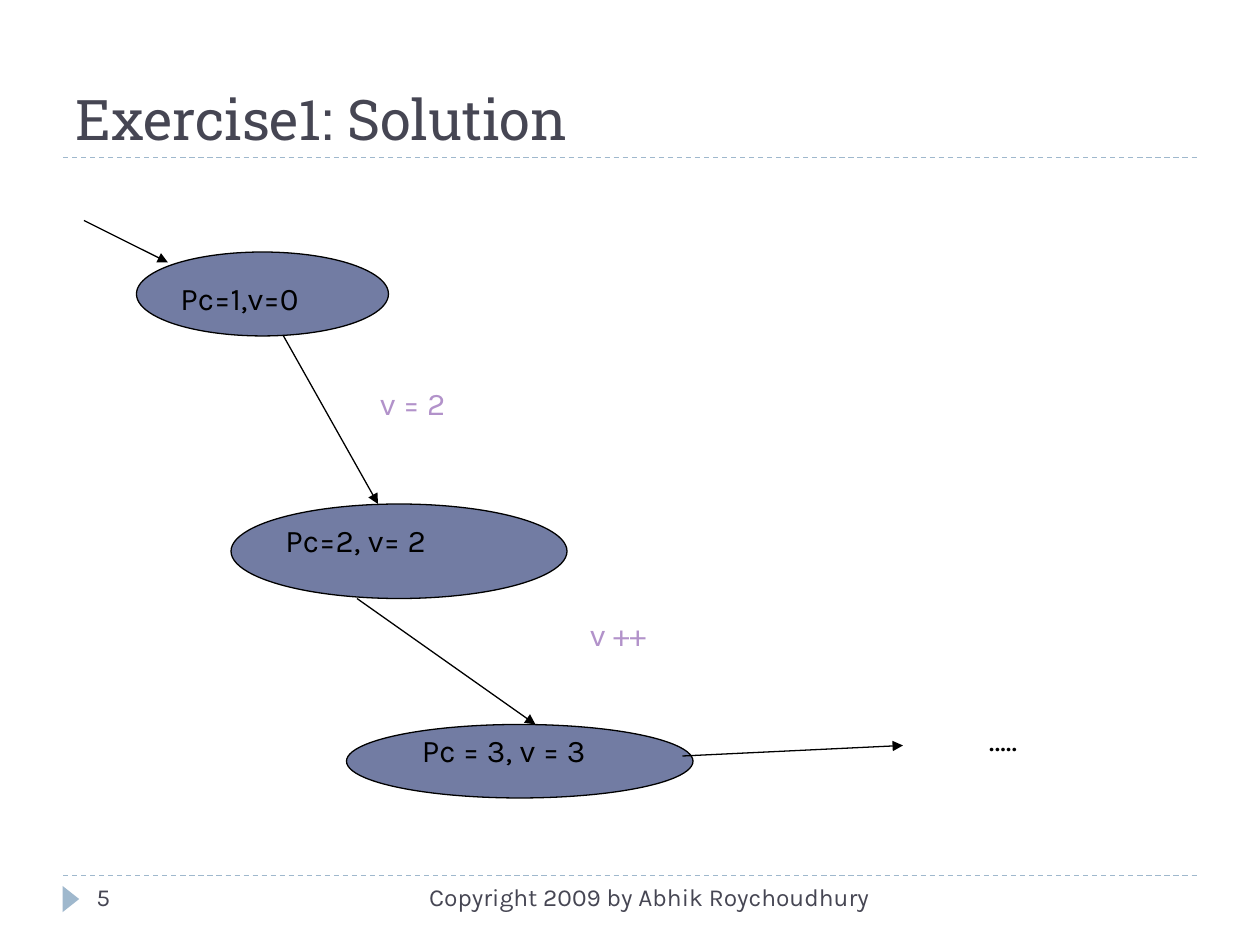
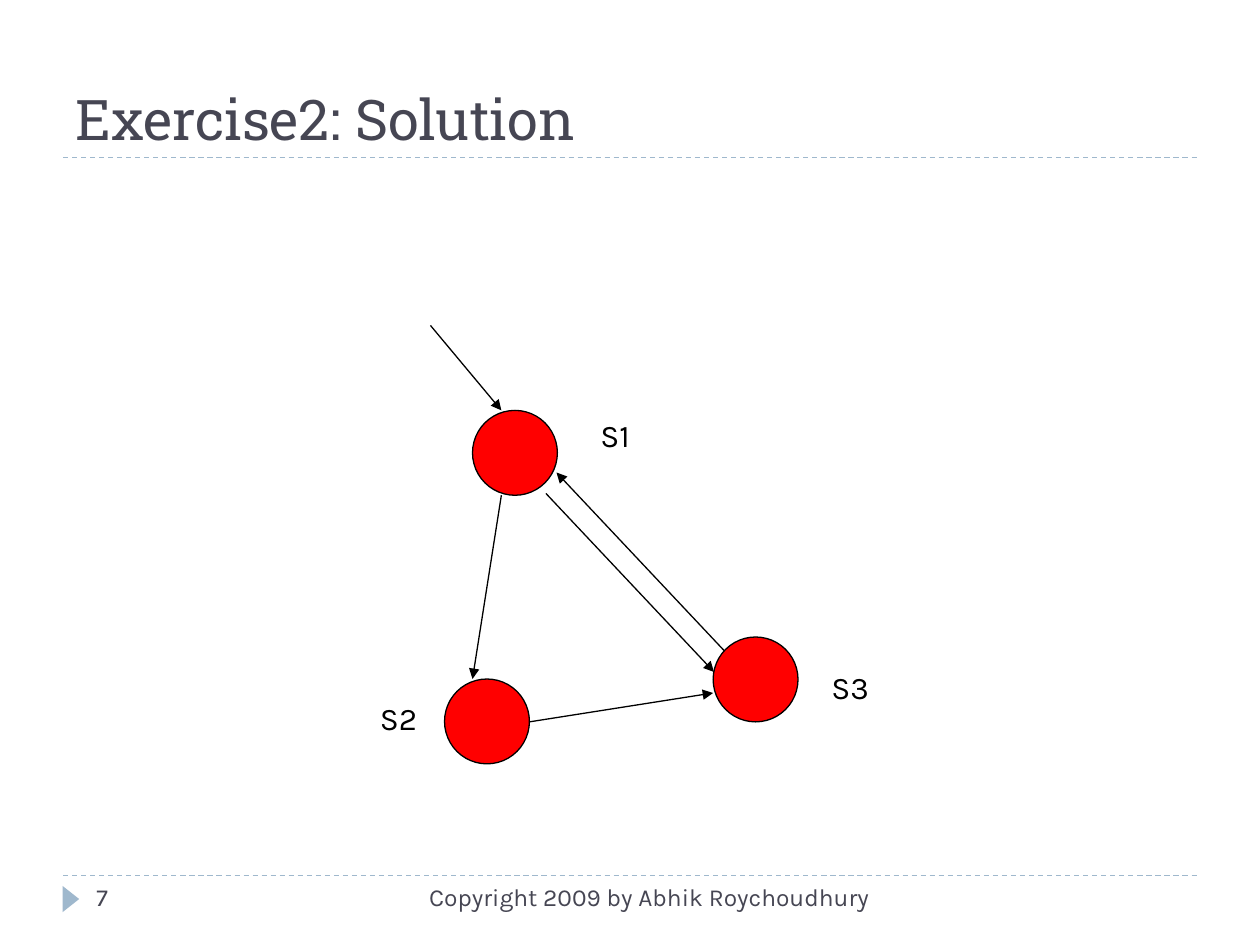
from dataclasses import dataclass

from lxml import etree
from pptx import Presentation
from pptx.dml.color import RGBColor
from pptx.enum.dml import MSO_LINE
from pptx.enum.shapes import MSO_CONNECTOR, MSO_SHAPE
from pptx.enum.text import MSO_ANCHOR, MSO_AUTO_SIZE, PP_ALIGN
from pptx.oxml.ns import qn
from pptx.util import Pt

DASH = MSO_LINE.DASH
STRAIGHT = MSO_CONNECTOR.STRAIGHT
ELLIPSE = MSO_SHAPE.OVAL
TRIANGLE = MSO_SHAPE.ISOSCELES_TRIANGLE
TOP, BOTTOM = MSO_ANCHOR.TOP, MSO_ANCHOR.BOTTOM
GROW, FIXED = MSO_AUTO_SIZE.SHAPE_TO_FIT_TEXT, MSO_AUTO_SIZE.NONE
LEFT, RIGHT = PP_ALIGN.LEFT, PP_ALIGN.RIGHT


@dataclass(frozen=True)
class Theme:
    heading_font: str = "Roboto Slab"
    body_font: str = "Karla"
    title_size: float = 32
    label_size: float = 18
    footer_size: float = 14
    label_gap: float = 11.2
    line_width: float = 0.75
    muted: str = "464653"
    accent: str = "9FB8CD"
    ink: str = "000000"
    action: str = "B292CA"
    state: str = "727CA3"
    node: str = "FF0000"


def set_all(target, values):
    for name, value in values.items():
        setattr(target, name, value)


class SlideBuilder:
    def __init__(self, deck, theme):
        self.deck = deck
        self.theme = theme
        self.page = None

    def start_page(self, title, number):
        theme = self.theme
        self.page = self.deck.slides.add_slide(self.deck.slide_layouts[6])
        for y in (500.5, 90):
            rule = self.line((36, y), (684, y), theme.accent)
            rule.line.dash_style = DASH
        marker = self.shape(TRIANGLE, 33, 509, 15, 9.5, theme.accent)
        marker.rotation = 90
        self.text(title, 36, 12, 648, 78, theme.title_size, theme.muted,
                  font=theme.heading_font, anchor=BOTTOM)
        self.text("Copyright 2009 by Abhik Roychoudhury", 228, 500.5, 276, 29,
                  theme.footer_size, theme.muted, align=RIGHT)
        self.text(number, 48, 500.5, 156, 29, theme.footer_size, theme.muted)

    def text(self, words, left, top, width, height, size, color,
             font=None, align=LEFT, anchor=TOP, fit=FIXED, gap=0):
        box = self.page.shapes.add_textbox(Pt(left), Pt(top), Pt(width), Pt(height))
        frame = box.text_frame
        set_all(frame, {"word_wrap": True, "auto_size": fit, "vertical_anchor": anchor})
        para = frame.paragraphs[0]
        set_all(para, {"alignment": align, "space_before": Pt(gap)})
        span = para.add_run()
        span.text = words
        set_all(span.font, {"name": font or self.theme.body_font, "size": Pt(size)})
        span.font.color.rgb = RGBColor.from_string(color)

    def label(self, words, left, top, width, color=None):
        theme = self.theme
        self.text(words, left, top, width, 29, theme.label_size, color or theme.ink,
                  fit=GROW, gap=theme.label_gap)

    def shape(self, kind, left, top, width, height, fill):
        shape = self.page.shapes.add_shape(kind, Pt(left), Pt(top), Pt(width), Pt(height))
        shape.shadow.inherit = False
        shape.fill.solid()
        shape.fill.fore_color.rgb = RGBColor.from_string(fill)
        shape.line.fill.background()
        return shape

    def ellipse(self, left, top, width, height, fill):
        shape = self.shape(ELLIPSE, left, top, width, height, fill)
        self.stroke(shape.line, self.theme.ink)

    def stroke(self, line, color):
        line.color.rgb = RGBColor.from_string(color)
        line.width = Pt(self.theme.line_width)

    def line(self, start, end, color):
        points = [Pt(value) for value in (*start, *end)]
        connector = self.page.shapes.add_connector(STRAIGHT, *points)
        self.stroke(connector.line, color)
        etree.SubElement(connector._element.spPr, qn("a:effectLst"))
        return connector

    def arrow(self, start, end):
        connector = self.line(start, end, self.theme.ink)
        outline = connector.line._get_or_add_ln()
        etree.SubElement(outline, qn("a:tailEnd"), type="triangle")


def build_state_sequence(builder):
    theme = builder.theme
    builder.start_page("Exercise1: Solution", "5")
    for bounds in ((78, 144, 144, 48), (132, 288, 192, 54), (198, 414, 198, 42)):
        builder.ellipse(*bounds, theme.state)
    for words, left, top, width in (
        ("Pc=1,v=0", 96, 156, 102),
        ("Pc=2, v= 2", 156, 294, 138),
        ("Pc = 3, v = 3", 234, 414, 150),
        ("…..", 558, 408, 108),
    ):
        builder.label(words, left, top, width)
    for words, left, top in (("v = 2", 210, 216), ("v ++", 330, 348)):
        builder.label(words, left, top, 114, theme.action)
    for start, end in (
        ((48, 126), (96, 150)),
        ((162, 192), (216, 288)),
        ((204, 342), (306, 414)),
        ((390, 432), (516, 426)),
    ):
        builder.arrow(start, end)


def build_state_graph(builder):
    diameter = 48.5
    builder.start_page("Exercise2: Solution", "7")
    for name, node, label in (
        ("S1", (270, 234.5), (336, 234)),
        ("S2", (254, 388), (210, 396)),
        ("S3", (407.5, 364), (468, 378)),
    ):
        builder.ellipse(*node, diameter, diameter, builder.theme.node)
        builder.label(name, *label, 60)
    for start, end in (
        ((286.5, 283), (270, 388)),
        ((302.5, 412.5), (407.5, 396)),
        ((414, 372), (318, 270)),
        ((246, 186), (286.5, 234.5)),
        ((312, 282), (408, 384)),
    ):
        builder.arrow(start, end)


def main():
    deck = Presentation()
    set_all(deck, {"slide_width": Pt(720), "slide_height": Pt(540)})
    builder = SlideBuilder(deck, Theme())
    build_state_sequence(builder)
    build_state_graph(builder)
    deck.save("out.pptx")


if __name__ == "__main__":
    main()
